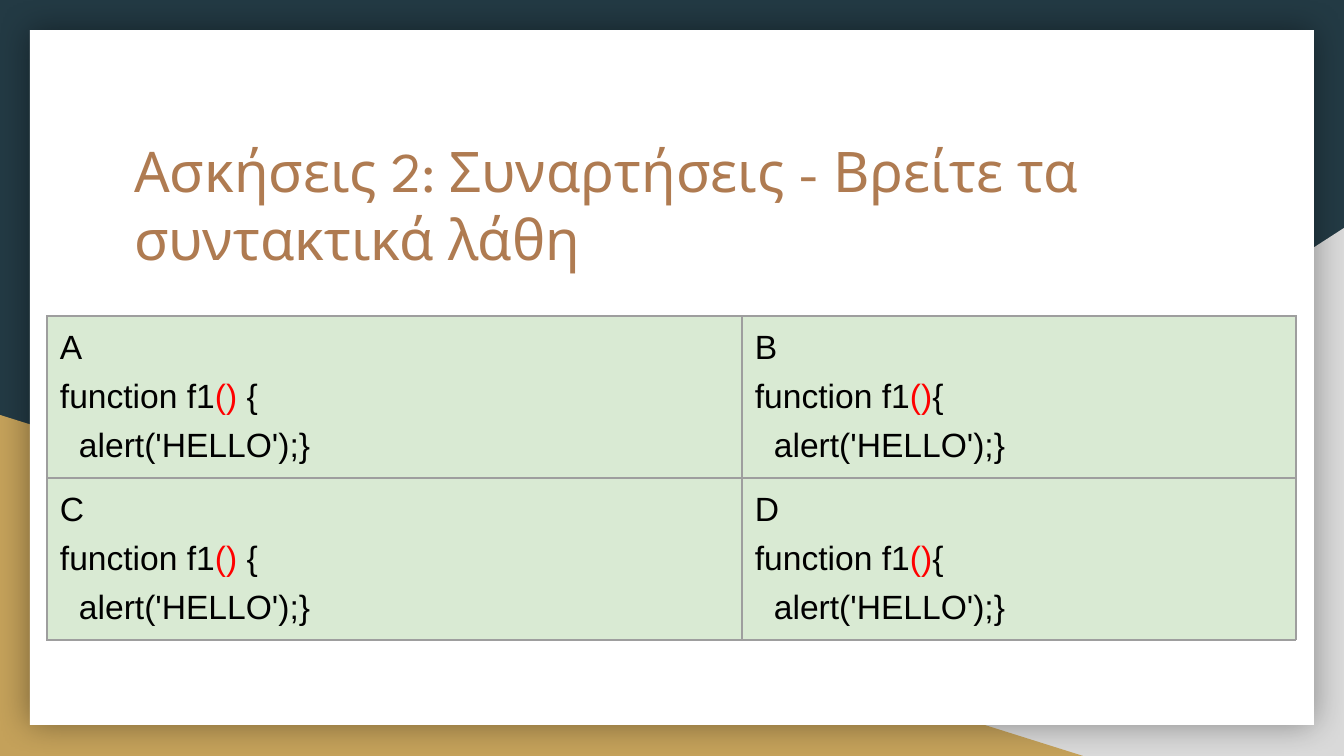
from dataclasses import dataclass
from lxml.etree import SubElement
from pptx import Presentation
from pptx.dml.color import RGBColor
from pptx.enum.shapes import MSO_SHAPE
from pptx.enum.text import MSO_ANCHOR, MSO_AUTO_SIZE, PP_ALIGN
from pptx.oxml import parse_xml
from pptx.oxml.ns import nsdecls, qn
from pptx.util import Pt


@dataclass
class Theme:
    back: str = "233A44"
    grey: str = "D9D9D9"
    gold: str = "C4A15A"
    page: str = "FFFFFF"
    head: str = "AF7B51"
    cell: str = "D9EAD3"
    edge: str = "9E9E9E"
    ink: str = "000000"
    mark: str = "FF0000"
    head_font: str = "League Spartan"
    code_font: str = "Arial"
    head_size: int = 30
    code_size: int = 18


theme = Theme()
SCALE = 9144000 / 1344


def px(num):
    return round(num * SCALE)


def add_run(para, text, font, size, color):
    run = para.add_run()
    run.text = text
    run.font.name = font
    run.font.size = Pt(size)
    run.font.color.rgb = RGBColor.from_string(color)


deck = Presentation()
deck.slide_width, deck.slide_height = px(1344), px(756)
slide = deck.slides.add_slide(deck.slide_layouts[5])
slide.background.fill.solid()
slide.background.fill.fore_color.rgb = RGBColor.from_string(theme.back)

for kind, box, color, flip in (
    (MSO_SHAPE.RIGHT_TRIANGLE, (527, 228, 817, 528), theme.grey, True),
    (MSO_SHAPE.RIGHT_TRIANGLE, (0, 415, 1083, 341), theme.gold, False),
    (MSO_SHAPE.RECTANGLE, (30, 30, 1284, 695), theme.page, False),
):
    shape = slide.shapes.add_shape(kind, *map(px, box))
    shape.shadow.inherit = False
    shape.fill.solid()
    shape.fill.fore_color.rgb = RGBColor.from_string(color)
    shape.line.fill.background()
    if flip:
        shape._element.spPr.find(qn("a:xfrm")).set("flipH", "1")

glow = shape._element.spPr.find(qn("a:effectLst"))
shade = SubElement(glow, qn("a:outerShdw"), blurRad=str(Pt(18)), dist="0", dir="0", algn="ctr")
tint = SubElement(shade, qn("a:srgbClr"), val=theme.ink)
SubElement(tint, qn("a:alpha"), val="40000")

title = slide.shapes.title
title.left, title.top, title.width, title.height = map(px, (121, 124, 1103, 140))
slide.shapes._spTree.append(title._element)
frame = title.text_frame
frame.word_wrap = True
frame.auto_size = MSO_AUTO_SIZE.NONE
frame.vertical_anchor = MSO_ANCHOR.TOP
frame.margin_left = frame.margin_right = frame.margin_top = frame.margin_bottom = px(13)
para = frame.paragraphs[0]
para.alignment = PP_ALIGN.LEFT
add_run(para, "Ασκήσεις 2: Συναρτήσεις - Βρείτε τα συντακτικά λάθη",
        theme.head_font, theme.head_size, theme.head)

grid = slide.shapes.add_table(2, 3, px(47), px(316), px(1249), px(324)).table
grid.first_row = grid.horz_banding = False
for col, width in zip(grid.columns, (695, 194, 360)):
    col.width = px(width)
for row in grid.rows:
    row.height = px(162)
    row.cells[1].merge(row.cells[2])

for cell in (cell for row in grid.rows for cell in row.cells):
    cell.fill.solid()
    cell.fill.fore_color.rgb = RGBColor.from_string(theme.cell)
    cell.margin_left = cell.margin_right = cell.margin_top = cell.margin_bottom = px(13)
    props = cell._tc.get_or_add_tcPr()
    for spot, side in enumerate("LRTB"):
        props.insert(spot, parse_xml(
            f'<a:ln{side} {nsdecls("a")} w="{Pt(0.75)}"><a:solidFill>'
            f'<a:srgbClr val="{theme.edge}"/></a:solidFill></a:ln{side}>'))

for spot, (name, call, brace) in enumerate((
    ("A", "() ", "{"), ("B", "()", "{"), ("C", "()", " {"), ("D", "()", "{"),
)):
    frame = grid.cell(spot // 2, spot % 2).text_frame
    lines = (
        ((name, theme.ink),),
        (("function f1", theme.ink), (call, theme.mark), (brace, theme.ink)),
        (("alert('HELLO');}", theme.ink),),
    )
    for num, line in enumerate(lines):
        para = frame.add_paragraph() if num else frame.paragraphs[0]
        para.space_before = Pt(6)
        for text, color in line:
            add_run(para, text, theme.code_font, theme.code_size, color)
    para.space_after = Pt(6)
    para._p.get_or_add_pPr().set("marL", str(px(19)))

deck.save("out.pptx")
